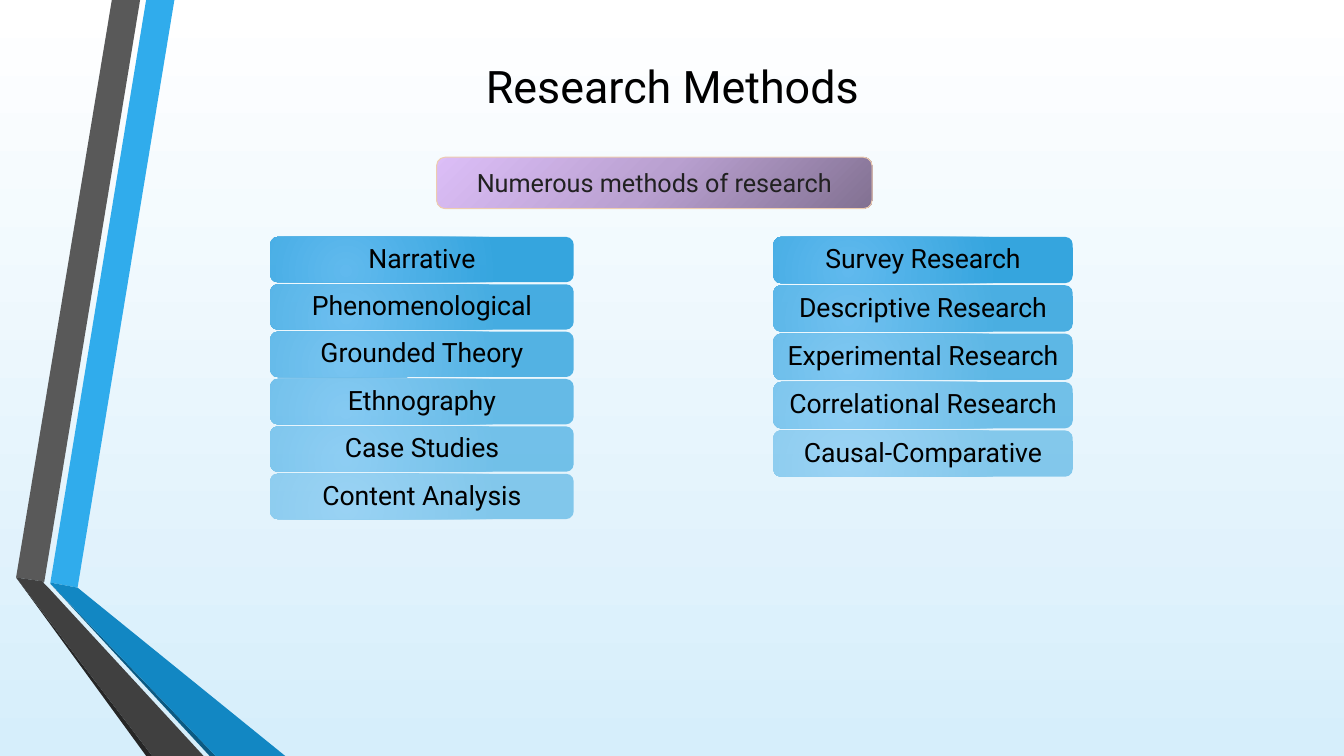
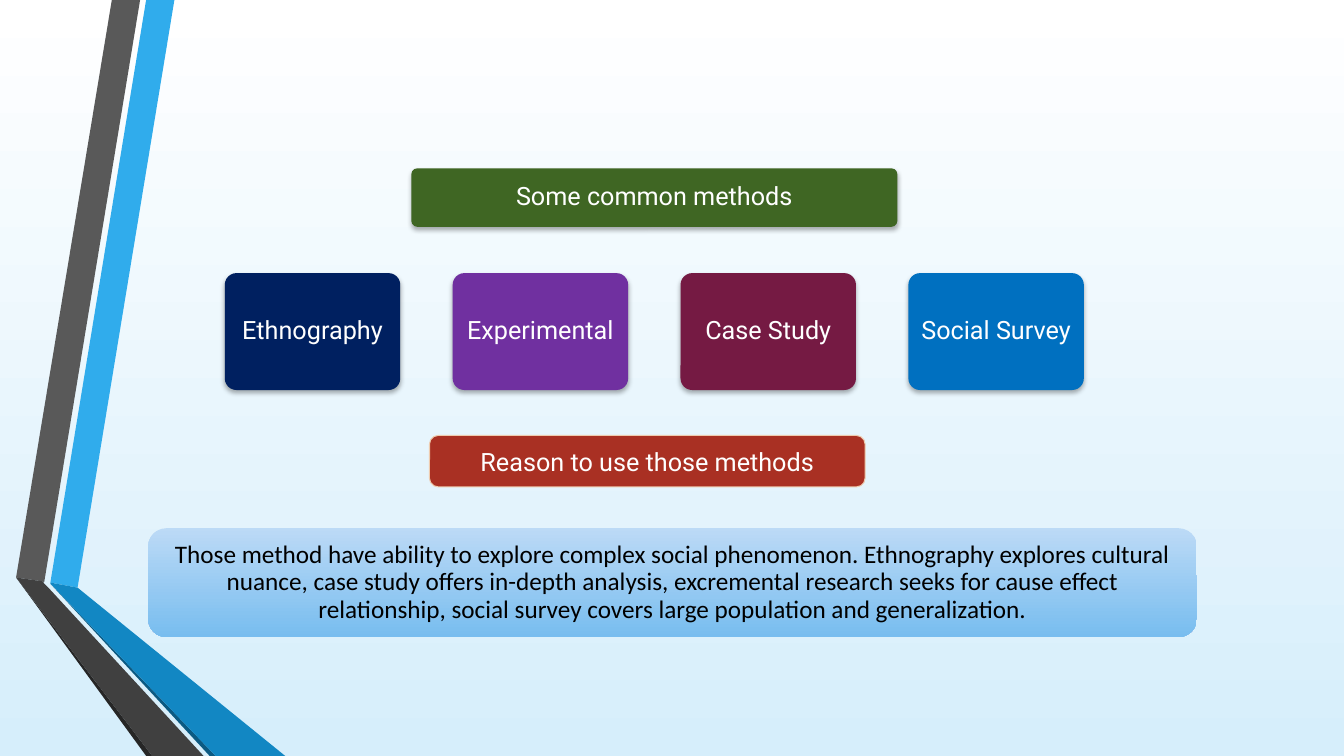
from dataclasses import dataclass

from lxml.etree import SubElement
from pptx import Presentation
from pptx.dml.color import RGBColor
from pptx.enum.shapes import MSO_SHAPE
from pptx.enum.text import MSO_ANCHOR, PP_ALIGN
from pptx.oxml.ns import qn
from pptx.util import Inches, Pt


@dataclass(frozen=True)
class Theme:
    heading_font: str = "Roboto"
    body_font: str = "Calibri"
    title_size: int = 32
    method_size: int = 19
    text_size: int = 18
    black: str = "000000"
    white: str = "FFFFFF"
    charcoal: str = "212121"
    sky: str = "D6EEFB"
    banner_outline: str = "EECCAF"
    purple_stops: tuple = ((0, "827192", 100), (50, "B9A0D0", 100), (100, "DCBEF7", 100))
    method_colors: tuple = ("51B3ED", "219CDB")
    summary_stops: tuple = ((0, "BCDAF6", 100), (100, "78BDEF", 100))
    red: str = "A93023"
    green: str = "3F6623"
    navy: str = "002060"
    violet: str = "7030A0"
    wine: str = "751A43"
    blue: str = "0070C0"
    band_blue: str = "30ACEC"
    band_gray: str = "595959"
    fold_black: str = "262626"
    fold_navy: str = "0C5A82"
    fold_blue: str = "1287C3"
    fold_gray: str = "404040"


theme = Theme()


def apply_gradient(fill, owner, stops, focus=None):
    fill.gradient()
    gradient = next(owner.iter(qn("a:gradFill")))
    for child in list(gradient):
        gradient.remove(child)
    stop_list = SubElement(gradient, qn("a:gsLst"))
    for position, color, opacity in stops:
        stop = SubElement(stop_list, qn("a:gs"), pos=str(position * 1000))
        rgb = SubElement(stop, qn("a:srgbClr"), val=color)
        if opacity < 100:
            SubElement(rgb, qn("a:alpha"), val=str(round(opacity * 1000)))
    if focus:
        radial = SubElement(gradient, qn("a:path"), path="circle")
        edges = {side: str(value * 1000) for side, value in zip("ltrb", focus)}
        SubElement(radial, qn("a:fillToRect"), **edges)
    else:
        SubElement(gradient, qn("a:lin"), ang="5400000", scaled="0")


def add_panel(slide, preset, box, label, fill, color=theme.white, font=theme.heading_font,
              size=theme.text_size, focus=None, outline=None, inset=0.1, spacing=0.9):
    panel = slide.shapes.add_shape(preset, *map(Inches, box))
    panel.shadow.inherit = False
    if isinstance(fill, str):
        panel.fill.solid()
        panel.fill.fore_color.rgb = RGBColor.from_string(fill)
    else:
        apply_gradient(panel.fill, panel._element, fill, focus)
    if outline:
        panel.line.color.rgb = RGBColor.from_string(outline)
        panel.line.width = Pt(0.75)
    else:
        panel.line.fill.background()
    frame = panel.text_frame
    frame.text = label
    frame_format = {"word_wrap": True, "vertical_anchor": MSO_ANCHOR.MIDDLE,
                    "margin_left": Inches(inset), "margin_right": Inches(inset),
                    "margin_top": Inches(0.05), "margin_bottom": Inches(0.05)}
    paragraph = frame.paragraphs[0]
    text_format = {"name": font, "size": Pt(size)}
    for target, values in ((frame, frame_format), (paragraph.font, text_format),
                           (paragraph, {"alignment": PP_ALIGN.CENTER, "line_spacing": spacing})):
        for attribute, value in values.items():
            setattr(target, attribute, value)
    paragraph.font.color.rgb = RGBColor.from_string(color)
    return panel


deck = Presentation()
deck.slide_width, deck.slide_height = Inches(13.33), Inches(7.5)
master = deck.slide_master
apply_gradient(master.background.fill, master._element,
               ((0, theme.white, 100), (100, theme.sky, 100)))

overview = deck.slides.add_slide(deck.slide_layouts[5])
common = deck.slides.add_slide(deck.slide_layouts[6])

ribbons = [
    (theme.band_blue, [(0.5, 5.78), (0.77, 5.83), (1.73, 0), (1.45, 0)]),
    (theme.band_gray, [(1.39, 0), (1.11, 0), (0.16, 5.73), (0.44, 5.77)]),
    (theme.fold_black, [(0.16, 5.73), (1.45, 7.5), (1.51, 7.5)]),
    (theme.fold_navy, [(0.5, 5.79), (2.08, 7.5), (2.14, 7.5)]),
    (theme.fold_blue, [(0.5, 5.79), (2.14, 7.5), (2.83, 7.5), (0.77, 5.83), (0.5, 5.78)]),
    (theme.fold_gray, [(2.02, 7.5), (0.48, 5.83), (0.43, 5.78), (0.44, 5.77),
                       (0.16, 5.73), (1.51, 7.5)]),
]
for order, (color, corners) in enumerate(ribbons):
    start, *rest = [(Inches(x), Inches(y)) for x, y in corners]
    outline = overview.shapes.build_freeform(*start)
    outline.add_line_segments(rest, close=True)
    ribbon = outline.convert_to_shape()
    ribbon.shadow.inherit = False
    ribbon.fill.solid()
    ribbon.fill.fore_color.rgb = RGBColor.from_string(color)
    ribbon.line.fill.background()
    ribbon._element.nvSpPr.cNvPr.set("id", str(100 + order))
    master.shapes._spTree.insert(2 + order, ribbon._element)

title = overview.shapes.title
title.text = "Research Methods"
title_place = {"left": 1.19, "top": 0, "width": 10.96, "height": 1.69}
for attribute, value in title_place.items():
    setattr(title, attribute, Inches(value))
title.text_frame.vertical_anchor = MSO_ANCHOR.MIDDLE
heading = title.text_frame.paragraphs[0]
heading.alignment = PP_ALIGN.CENTER
heading_format = {"name": theme.heading_font, "size": Pt(theme.title_size)}
for attribute, value in heading_format.items():
    setattr(heading.font, attribute, value)
heading.font.color.rgb = RGBColor.from_string(theme.black)

add_panel(overview, MSO_SHAPE.FLOWCHART_ALTERNATE_PROCESS, (4.33, 1.56, 4.32, 0.51),
          "Numerous methods of research", theme.purple_stops, color=theme.charcoal,
          focus=(100, 100, 0, 0), outline=theme.banner_outline, spacing=1.0)

method_columns = [
    (2.68, 3.01, 0.45, ["Narrative", "Phenomenological", "Grounded Theory", "Ethnography",
                        "Case Studies", "Content Analysis"]),
    (7.67, 2.97, 0.46, ["Survey Research", "Descriptive Research", "Experimental Research",
                        "Correlational Research", "Causal-Comparative"]),
]
for left, width, height, methods in method_columns:
    for row, method in enumerate(methods):
        opacity = 90 - 40 * row / (len(methods) - 1)
        stops = [(position, color, opacity)
                 for position, color in zip((0, 100), theme.method_colors)]
        add_panel(overview, MSO_SHAPE.ROUNDED_RECTANGLE,
                  (left, 2.35 + row * (height + 0.02), width, height), method, stops,
                  color=theme.black, size=theme.method_size, focus=(50, 100, 100, 50),
                  inset=0.08)

add_panel(common, MSO_SHAPE.FLOWCHART_ALTERNATE_PROCESS, (4.26, 4.32, 4.32, 0.51),
          "Reason to use those methods", theme.red, outline=theme.banner_outline, spacing=1.0)

common_methods = [("Ethnography", theme.navy), ("Experimental", theme.violet),
                  ("Case Study", theme.wine), ("Social Survey", theme.blue)]
cards = [((4.08, 1.67, 4.82, 0.58), "Some common methods", theme.green)]
cards += [((2.23 + 2.26 * column, 2.71, 1.74, 1.16), method, color)
          for column, (method, color) in enumerate(common_methods)]
for box, label, color in cards:
    card = add_panel(common, MSO_SHAPE.ROUNDED_RECTANGLE, box, label, color, inset=0.07)
    card.adjustments[0] = 0.1
    effects = card._element.spPr.find(qn("a:effectLst"))
    shadow = SubElement(effects, qn("a:outerShdw"), blurRad=str(Pt(3.5)), dist=str(Pt(2.2)),
                        dir="5400000", rotWithShape="0")
    shade = SubElement(shadow, qn("a:srgbClr"), val=theme.black)
    SubElement(shade, qn("a:alpha"), val="32000")

add_panel(common, MSO_SHAPE.ROUNDED_RECTANGLE, (1.47, 5.24, 10.4, 1.08),
          "Those method have ability to explore complex social phenomenon. Ethnography explores "
          "cultural nuance, case study offers in-depth analysis, excremental research seeks for "
          "cause effect relationship, social survey covers large population and generalization.",
          theme.summary_stops, color=theme.black, font=theme.body_font, inset=0.07)

deck.save("out.pptx")
